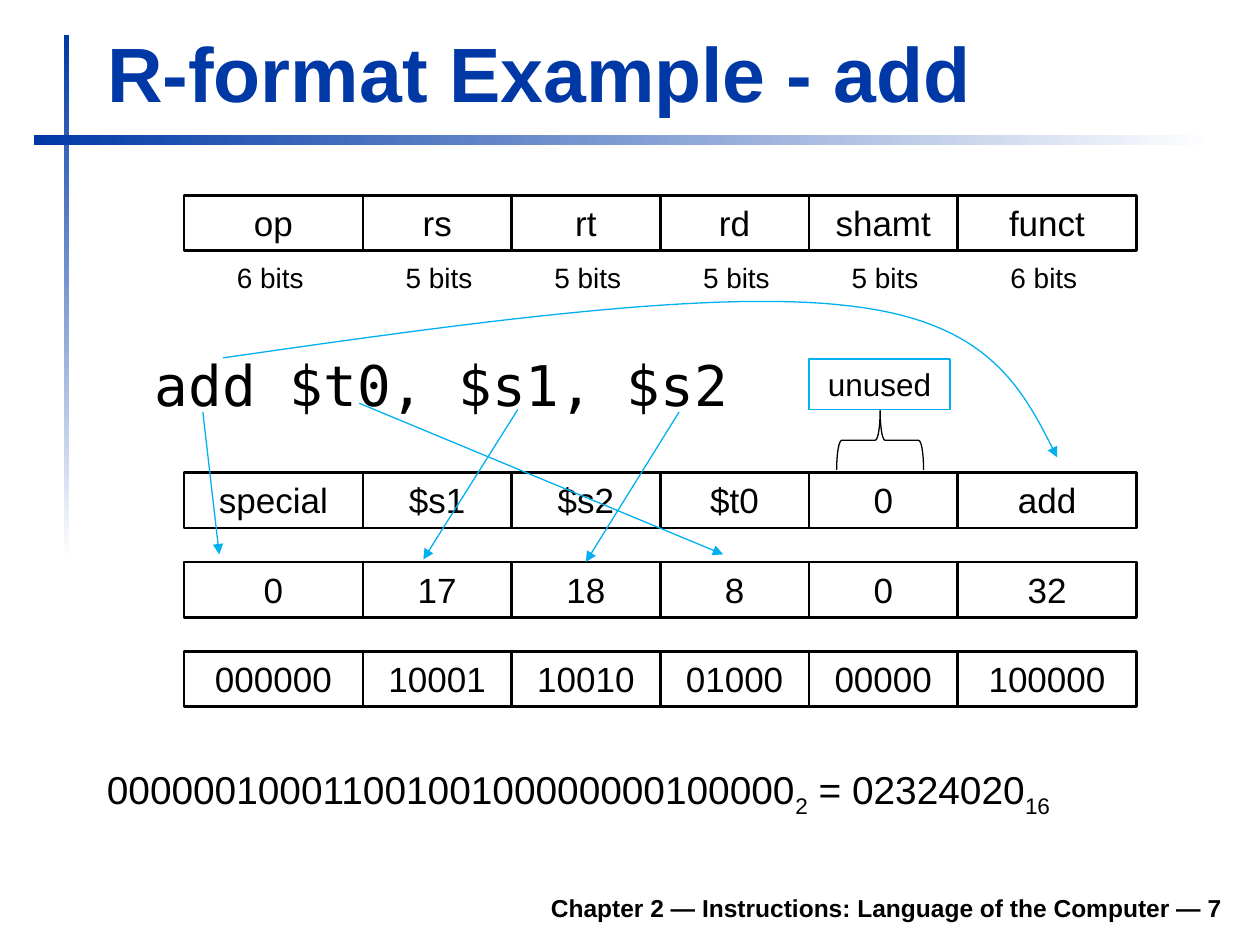
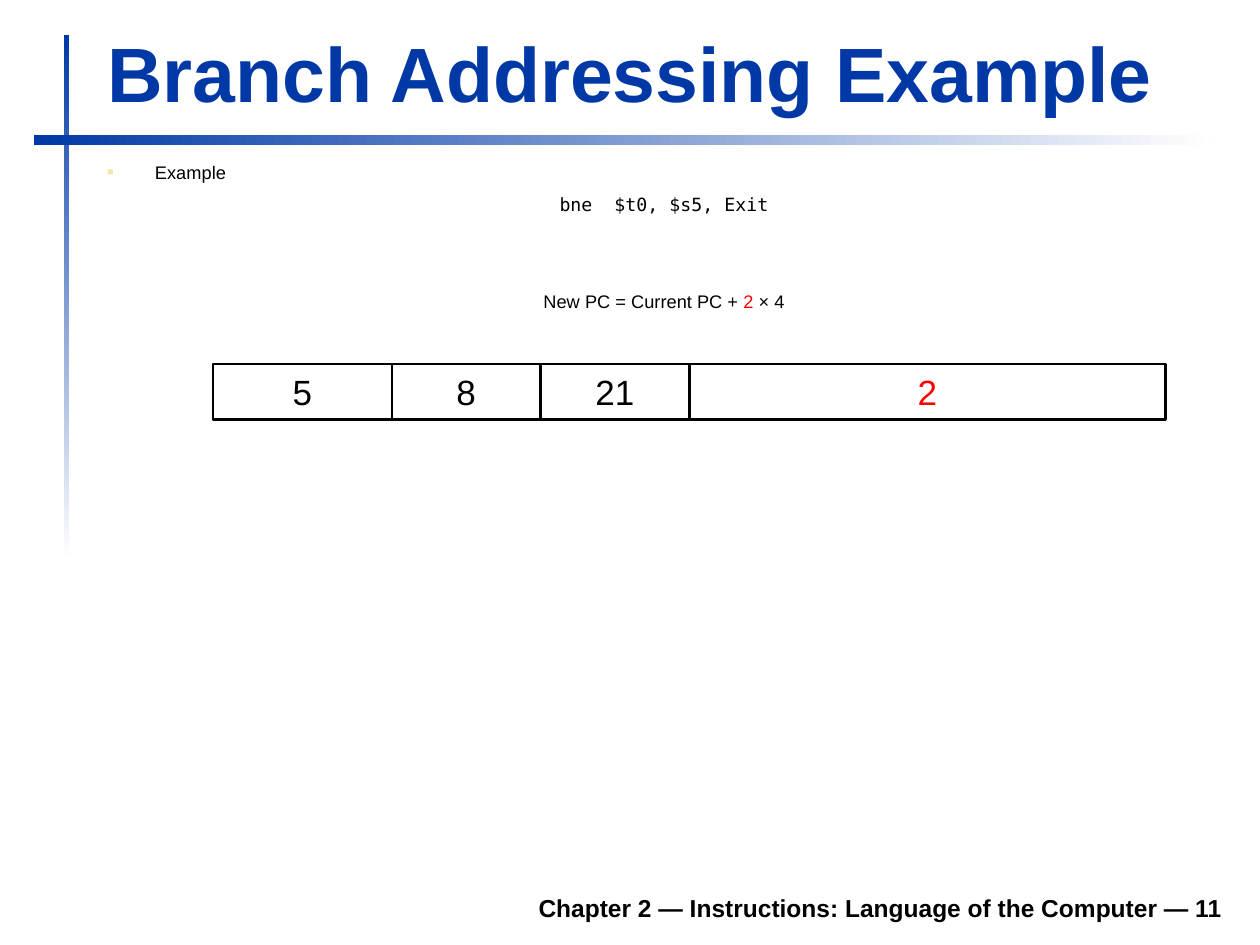
from dataclasses import dataclass

from pptx import Presentation
from pptx.dml.color import RGBColor
from pptx.enum.shapes import MSO_CONNECTOR, MSO_SHAPE
from pptx.enum.text import MSO_ANCHOR, MSO_AUTO_SIZE, PP_ALIGN
from pptx.oxml.ns import qn
from pptx.util import Inches, Pt

RECT, BRACE = MSO_SHAPE.RECTANGLE, MSO_SHAPE.RIGHT_BRACE
STRAIGHT = MSO_CONNECTOR.STRAIGHT
TOP, BOTTOM = MSO_ANCHOR.TOP, MSO_ANCHOR.BOTTOM
LEFT, CENTER, RIGHT = PP_ALIGN.LEFT, PP_ALIGN.CENTER, PP_ALIGN.RIGHT
NO_FIT = MSO_AUTO_SIZE.NONE


@dataclass(frozen=True)
class Theme:
    brand: str = "0039A6"
    paper: str = "FFFFFF"
    ink: str = "000000"
    arrow: str = "00B0F0"
    accent: str = "FF0000"
    bullet: str = "ECEAAC"
    sans: str = "Arial"
    mono: str = "DejaVu Sans Mono"
    title: float = 44
    code: float = 32
    result: float = 22.2
    field: float = 20
    label: float = 18
    bits: float = 16
    footer: float = 14
    note: float = 10.4


T = Theme()
FIELD_H = 0.44
OUTER_W, INNER_W = 1.42, 1.18
R_WIDTHS = [OUTER_W] + [INNER_W] * 4 + [OUTER_W]
I_WIDTHS = [OUTER_W, INNER_W, INNER_W, 2 * INNER_W + OUTER_W]
HANG = 0.38


def rgb(color):
    return RGBColor.from_string(color)


def box(left, top, width, height):
    return [Inches(v) for v in (left, top, width, height)]


def write(p, text, size=T.field, color=T.ink, font=T.sans, bold=False,
          align=None, baseline=None):
    r = p.add_run()
    r.text = text
    r.font.size, r.font.name, r.font.bold = Pt(size), font, bold
    r.font.color.rgb = rgb(color)
    if align is not None:
        p.alignment = align
    if baseline is not None:
        r.font._element.set("baseline", str(baseline * 1000))


def add_child(parent, tag, **attrs):
    child = parent.makeelement(qn(tag), attrs)
    parent.append(child)
    return child


def format_paragraph(p, before=0, spacing=1.0, margin=0, indent=0, bullet=None):
    p.space_before, p.line_spacing = Pt(before), spacing
    pPr = p._p.get_or_add_pPr()
    pPr.set("marL", str(Inches(margin)))
    pPr.set("indent", str(Inches(indent)))
    if bullet:
        add_child(add_child(pPr, "a:buClr"), "a:srgbClr", val=T.bullet)
        add_child(pPr, "a:buSzPct", val="60000")
        add_child(pPr, "a:buChar", char=bullet)
    else:
        add_child(pPr, "a:buNone")


def place(sp, bounds, anchor=TOP):
    """Put a placeholder in its box and return its text frame."""
    sp.left, sp.top, sp.width, sp.height = box(*bounds)
    tf = sp.text_frame
    tf.word_wrap, tf.auto_size, tf.vertical_anchor = True, NO_FIT, anchor
    return tf


def add_textbox(slide, bounds, anchor=TOP, wrap=True):
    tf = slide.shapes.add_textbox(*box(*bounds)).text_frame
    tf.word_wrap, tf.vertical_anchor = wrap, anchor
    return tf.paragraphs[0]


def add_outline(slide, kind, bounds, color=T.ink, width=1.5):
    sp = slide.shapes.add_shape(kind, *box(*bounds))
    sp.shadow.inherit = False
    sp.fill.background()
    sp.line.color.rgb, sp.line.width = rgb(color), Pt(width)
    sp.text_frame.vertical_anchor = TOP
    return sp


def style_arrow(sp):
    sp.line.color.rgb, sp.line.width = rgb(T.arrow), Pt(0.75)
    spPr = sp._element.spPr
    add_child(spPr.find(qn("a:ln")), "a:tailEnd", type="triangle")
    if spPr.find(qn("a:effectLst")) is None:
        add_child(spPr, "a:effectLst")


def add_arrow(slide, start, end):
    ends = [Inches(v) for v in (*start, *end)]
    style_arrow(slide.shapes.add_connector(STRAIGHT, *ends))


def bezier(points, steps=30):
    """Points along a cubic curve, start included."""
    for i in range(steps + 1):
        t = i / steps
        weights = ((1 - t) ** 3, 3 * t * (1 - t) ** 2, 3 * t * t * (1 - t), t ** 3)
        yield tuple(Inches(sum(w * pt[axis] for w, pt in zip(weights, points)))
                    for axis in (0, 1))


def add_curved_arrow(slide, *curves):
    start, *rest = [pt for curve in curves for pt in bezier(curve)]
    builder = slide.shapes.build_freeform(*start)
    builder.add_line_segments(rest, close=False)
    sp = builder.convert_to_shape()
    sp.shadow.inherit = False
    sp.fill.background()
    style_arrow(sp)


def add_master_bars(prs, slide):
    """Draw the two fading bars and hand them to the slide master."""
    for bounds, angle in (((0.51, 0.28, 0.04, 4.17), 270),
                          ((0.27, 1.07, 9.37, 0.08), 0)):
        sp = slide.shapes.add_shape(RECT, *box(*bounds))
        sp.shadow.inherit = False
        sp.line.fill.background()
        sp.fill.gradient()
        sp.fill.gradient_angle = angle
        for stop, color in zip(sp.fill.gradient_stops, (T.brand, T.paper)):
            stop.color.rgb = rgb(color)
        prs.slide_master.shapes.element.append(sp._element)


def add_slide(prs, title, number):
    slide = prs.slides.add_slide(prs.slide_layouts[1])
    tf = place(slide.shapes.title, (0.75, 0.16, 9.03, 0.83), BOTTOM)
    write(tf.paragraphs[0], title, size=T.title, color=T.brand, bold=True, align=LEFT)
    p = add_textbox(slide, (1.85, 6.98, 7.95, 0.39), BOTTOM)
    write(p, f"Chapter 2 — Instructions: Language of the Computer — {number}",
          size=T.footer, bold=True, align=RIGHT)
    return slide


def add_field_row(slide, left, top, widths, values, colors=None):
    for i, (width, value) in enumerate(zip(widths, values)):
        sp = add_outline(slide, RECT, (left, top, width, FIELD_H))
        write(sp.text_frame.paragraphs[0], value, align=CENTER,
              color=colors[i] if colors else T.ink)
        left += width


def add_bit_counts(slide, left, top):
    offsets = [0.32] + [1.66 + i * INNER_W for i in range(4)] + [6.46]
    for offset, bits in zip(offsets, (6, 5, 5, 5, 5, 6)):
        p = add_textbox(slide, (left + offset, top, 0.73, 0.37), wrap=False)
        write(p, f"{bits} bits", size=T.bits, align=CENTER)


def add_unused_label(slide, left, top):
    sp = add_outline(slide, RECT, (left, top, 1.12, 0.4), T.arrow, 0.75)
    write(sp.text_frame.paragraphs[0], "unused", size=T.label, align=CENTER)
    brace = add_outline(slide, BRACE, (left + 0.33, top + 0.3, 0.47, 0.69), width=0.75)
    brace.rotation = 270


def add_result(slide, bounds):
    p = add_textbox(slide, bounds)
    p.space_before = Pt(6)
    for text, baseline in (("00000010001100100100000000100000", None), ("2", -25),
                           (" = 02324020", None), ("16", -25)):
        write(p, text, size=T.result, baseline=baseline)


def build_r_format(slide):
    p = place(slide.placeholders[1], (0.75, 2.73, 9.04, 0.71)).paragraphs[0]
    format_paragraph(p, before=8, margin=HANG)
    write(p, "add $t0, $s1, $s2", size=T.code, font=T.mono, align=LEFT)

    left = 1.46
    add_field_row(slide, left, 1.55, R_WIDTHS, ("op", "rs", "rt", "rd", "shamt", "funct"))
    add_bit_counts(slide, left, 2.02)
    encodings = (("special", "$s1", "$s2", "$t0", "0", "add"),
                 ("0", "17", "18", "8", "0", "32"),
                 ("000000", "10001", "10010", "01000", "00000", "100000"))
    for i, values in enumerate(encodings):
        add_field_row(slide, left, 3.75 + i * 0.71, R_WIDTHS, values)
    add_result(slide, (0.75, 6.03, 8.9, 0.55))

    for start, end in (((1.61, 3.27), (1.74, 4.4)), ((5.39, 3.27), (4.65, 4.46)),
                       ((2.85, 3.2), (5.74, 4.4)), ((4.11, 3.25), (3.36, 4.44))):
        add_arrow(slide, start, end)
    add_curved_arrow(slide,
                     ((1.77, 2.84), (3.72, 2.56), (5.66, 2.29), (6.76, 2.43)),
                     ((6.76, 2.43), (7.86, 2.56), (8.12, 3.09), (8.39, 3.63)))
    add_unused_label(slide, 6.42, 2.85)


def build_branch(slide):
    tf = place(slide.placeholders[1], (0.75, 1.23, 9.04, 1.42))
    p = tf.paragraphs[0]
    format_paragraph(p, before=8, margin=HANG, indent=-HANG, bullet="■")
    write(p, "Example", size=T.note, align=LEFT)
    p = tf.add_paragraph()
    format_paragraph(p, before=8, spacing=0.8)
    write(p, "bne  $t0, $s5, Exit", size=T.note, font=T.mono, align=CENTER)
    p = tf.add_paragraph()
    format_paragraph(p, before=43)
    for text, color in (("New PC = Current PC + ", T.ink), ("2", T.accent),
                        (" × 4", T.ink)):
        write(p, text, size=T.note, color=color, align=CENTER)
    add_field_row(slide, 1.69, 2.89, I_WIDTHS, ("5", "8", "21", "2"),
                  (T.ink, T.ink, T.ink, T.accent))


def main():
    prs = Presentation()
    prs.slide_width, prs.slide_height = Inches(10), Inches(7.5)
    r_format = add_slide(prs, "R-format Example - add", 7)
    add_master_bars(prs, r_format)
    build_r_format(r_format)
    build_branch(add_slide(prs, "Branch Addressing Example", 11))
    prs.save("out.pptx")


if __name__ == "__main__":
    main()
